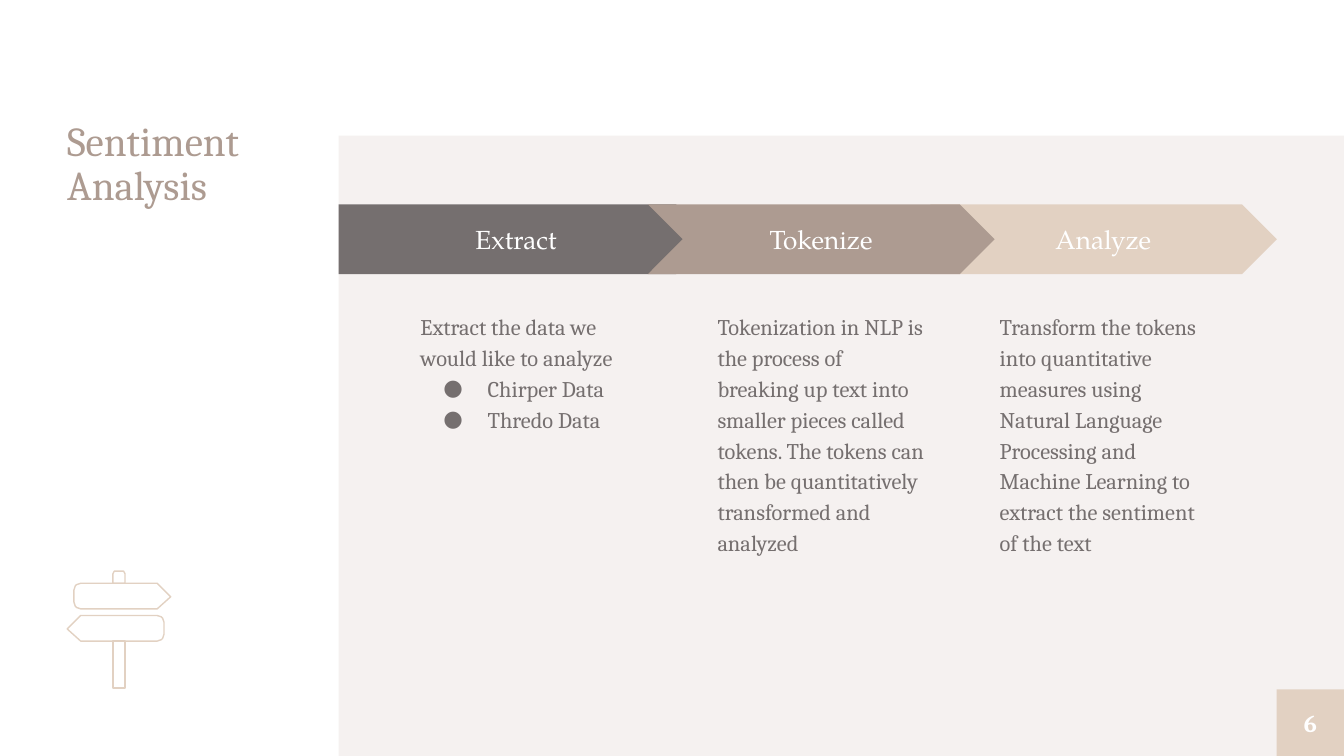
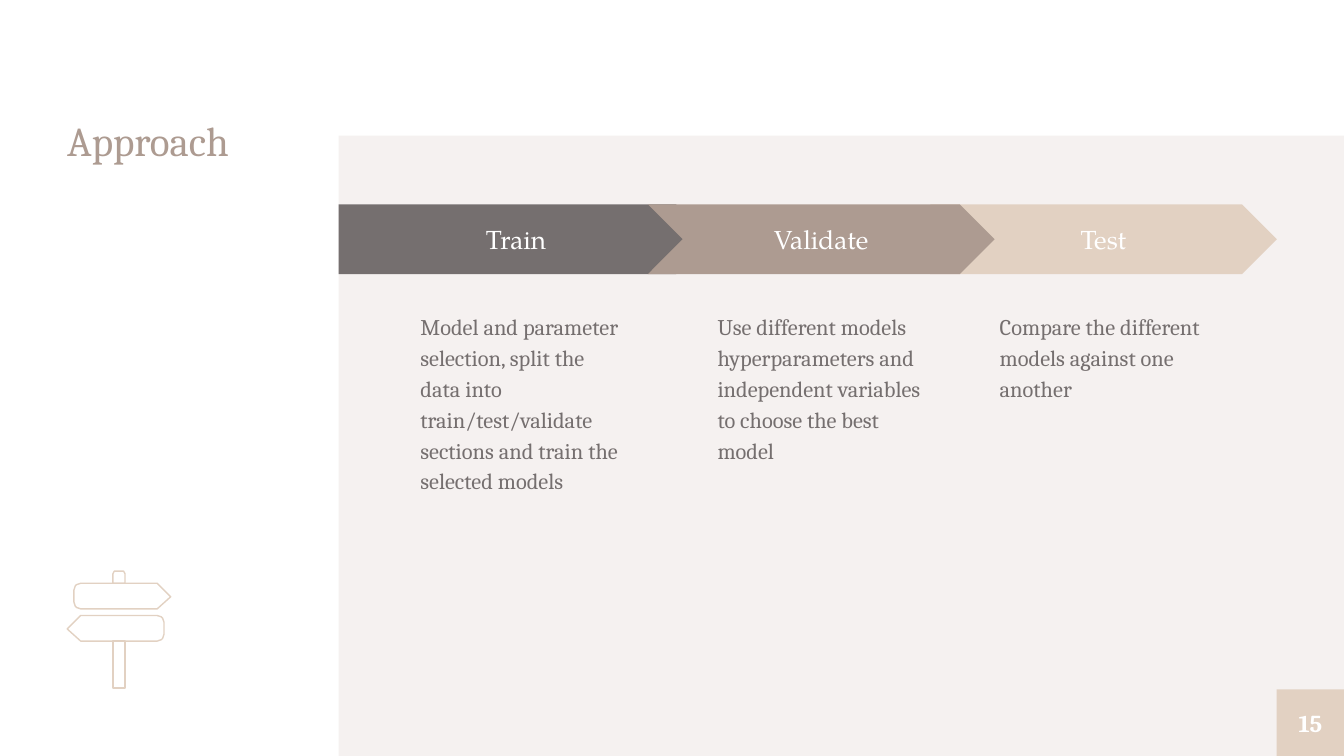
"""Build two three-step process slides that share one side-title design."""
import pptx
import pptx.dml.color
import pptx.enum.shapes
import pptx.enum.text
import pptx.oxml
import pptx.util
from pptx.util import Inches

COLORS = {"panel": "F5F1F0", "dark": "756F6F", "taupe": "AD9B91", "sand": "E2D1C2", "white": "FFFFFF"}
SHAPES = pptx.enum.shapes.MSO_SHAPE
ANCHORS = pptx.enum.text.MSO_ANCHOR
NAMESPACE = 'xmlns:a="http://schemas.openxmlformats.org/drawingml/2006/main"'
BULLET_PARTS = [
    f'<a:buClr {NAMESPACE}><a:srgbClr val="{COLORS["dark"]}"/></a:buClr>',
    f'<a:buSzPts {NAMESPACE} val="1200"/>',
    f'<a:buFont {NAMESPACE} typeface="Cambria"/>',
    f'<a:buChar {NAMESPACE} char="●"/>',
]

SLIDES = [
    ("Sentiment Analysis", "6", [
        ("Extract", ["Extract the data we would like to analyze", "Chirper Data", "Thredo Data"]),
        ("Tokenize", ["Tokenization in NLP is the process of breaking up text into smaller pieces "
                      "called tokens. The tokens can then be quantitatively transformed and analyzed"]),
        ("Analyze", ["Transform the tokens into quantitative measures using Natural Language Processing "
                     "and Machine Learning to extract the sentiment of the text"]),
    ]),
    ("Approach", "15", [
        ("Train", ["Model and parameter selection, split the data into train/test/validate sections "
                   "and train the selected models"]),
        ("Validate", ["Use different models hyperparameters and independent variables to choose "
                      "the best model"]),
        ("Test", ["Compare the different models against one another"]),
    ]),
]
STEP_STYLES = [
    (SHAPES.PENTAGON, 2.52, 2.77, 3.03, "dark"),
    (SHAPES.CHEVRON, 4.82, 2.58, 5.24, "taupe"),
    (SHAPES.CHEVRON, 6.92, 2.58, 7.34, "sand"),
]
DRAW_ORDER = [2, 0, 1]

right_sign = [(117, 434), (60, 434), (57, 435), (56, 436), (55, 439), (55, 448),
              (56, 451), (57, 452), (60, 453), (117, 453), (127, 444)]
left_sign = [(177 - x, y + 24) for x, y in right_sign]
post_top = [(93, 434), (93, 427), (92, 425), (90, 425), (87, 425), (85, 425), (84, 427), (84, 434)]
post = [(84, 477), (84, 512), (93, 512), (93, 477)]


def add_run(paragraph, text, size, color, font="Cambria", bold=False):
    run = paragraph.add_run()
    run.text = text
    run.font.size = pptx.util.Pt(size)
    run.font.name = font
    run.font.bold = bold
    run.font.color.rgb = pptx.dml.color.RGBColor.from_string(COLORS[color])


def add_block(slide, kind, box, color, label="", size=14, font="Cambria", bold=False, inset=0):
    block = slide.shapes.add_shape(kind, *[Inches(value) for value in box])
    block.shadow.inherit = False
    block.fill.solid()
    block.fill.fore_color.rgb = pptx.dml.color.RGBColor.from_string(COLORS[color])
    block.line.fill.background()
    if label:
        frame = block.text_frame
        frame.vertical_anchor = ANCHORS.MIDDLE
        frame.margin_left = frame.margin_right = frame.margin_top = frame.margin_bottom = Inches(inset)
        frame.paragraphs[0].alignment = pptx.enum.text.PP_ALIGN.CENTER
        add_run(frame.paragraphs[0], label, size, "white", font, bold)


deck = pptx.Presentation()
deck.slide_width = Inches(10)
deck.slide_height = deck.slide_width * 9 // 16

for heading, number, steps in SLIDES:
    slide = deck.slides.add_slide(deck.slide_layouts[5])
    add_block(slide, SHAPES.RECTANGLE, (2.52, 1.01, 7.48, 4.62), "panel")

    for outline in (right_sign, left_sign, post_top, post):
        builder = slide.shapes.build_freeform(*outline[0], scale=Inches(0.01))
        builder.add_line_segments(outline[1:], close=True)
        signpost = builder.convert_to_shape()
        signpost.shadow.inherit = False
        signpost.fill.background()
        signpost.line.width = pptx.util.Pt(0.75)
        signpost.line.color.rgb = pptx.dml.color.RGBColor.from_string(COLORS["sand"])

    title = slide.shapes.title
    title.left, title.top, title.width, title.height = [Inches(v) for v in (0.5, 0.9, 1.78, 4.23)]
    frame = title.text_frame
    frame.word_wrap = True
    frame.auto_size = pptx.enum.text.MSO_AUTO_SIZE.NONE
    frame.vertical_anchor = ANCHORS.TOP
    frame.margin_left = frame.margin_right = frame.margin_top = frame.margin_bottom = 0
    frame.paragraphs[0].alignment = pptx.enum.text.PP_ALIGN.LEFT
    frame.paragraphs[0].line_spacing = 0.9
    add_run(frame.paragraphs[0], heading, 22, "taupe")

    add_block(slide, SHAPES.RECTANGLE, (9.5, 5.13, 0.5, 0.5), "sand", number, 13, bold=True)

    for index in DRAW_ORDER:
        kind, left, width, text_left, color = STEP_STYLES[index]
        step, lines = steps[index]
        add_block(slide, kind, (left, 1.52, width, 0.52), color, step, font="TeX Gyre Pagella", inset=0.1)
        description = slide.shapes.add_textbox(Inches(text_left), Inches(2.2), Inches(1.75), Inches(2.04))
        frame = description.text_frame
        frame.word_wrap = True
        frame.margin_left = frame.margin_right = frame.margin_top = frame.margin_bottom = Inches(0.1)
        for position, line in enumerate(lines):
            paragraph = frame.add_paragraph() if position else frame.paragraphs[0]
            paragraph.line_spacing = 1.15
            add_run(paragraph, line, 12, "dark")
            if position:
                properties = paragraph._p.get_or_add_pPr()
                properties.set("marL", str(Inches(0.5)))
                properties.set("indent", str(Inches(-0.33)))
                for part in BULLET_PARTS:
                    properties.append(pptx.oxml.parse_xml(part))

deck.save("out.pptx")
